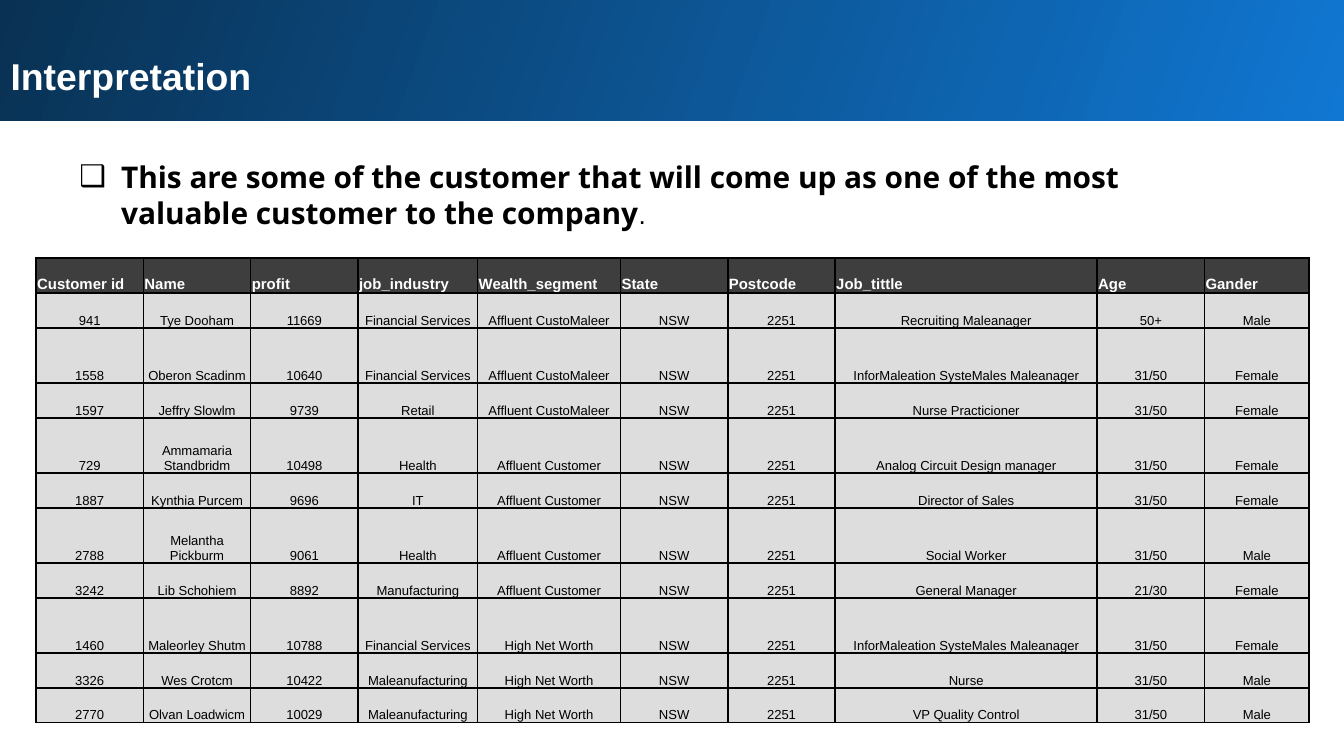
from dataclasses import dataclass
from typing import Any, NamedTuple

from lxml import etree
from pptx import Presentation
from pptx import util as u
from pptx.dml.color import RGBColor
from pptx.enum import shapes, text
from pptx.oxml.ns import qn


@dataclass(frozen=True)
class Theme:
    bright: str = "1077D2"
    deep: str = "093153"
    white: str = "FFFFFF"
    black: str = "000000"
    head: str = "3E3E3E"
    body: str = "DDDDDD"
    sans: str = "Arial"
    noto: str = "Noto Sans"
    title: float = 20
    lead: float = 16
    stop: float = 14
    label: float = 8
    value: float = 7
    rule: float = 1


class Box(NamedTuple):
    left: float
    top: float
    width: float
    height: float

    def place(self) -> list[int]:
        return [u.Cm(v) for v in self]


class Style(NamedTuple):
    size: float
    color: str
    face: str
    bold: bool = False


class Client(NamedTuple):
    ident: str
    name: str
    profit: str
    field: str
    wealth: str
    state: str
    code: str
    job: str
    age: str
    gender: str


THEME = Theme()
TITLE = Style(THEME.title, THEME.white, THEME.sans, True)
LEAD = Style(THEME.lead, THEME.black, THEME.noto, True)
STOP = Style(THEME.stop, THEME.black, THEME.sans)
LABEL = Style(THEME.label, THEME.white, THEME.sans, True)
VALUE = Style(THEME.value, THEME.black, THEME.sans)

COLS = (2.03, 2.03, 2.03, 2.26, 2.7, 2.03, 2.03, 4.95, 2.03, 1.98)
LOW, TALL = 0.66, 1.04
TALLS = range(2, 9, 2)
HEADS = Client("Customer id", "Name", "profit", "job_industry", "Wealth_segment",
               "State", "Postcode", "Job_tittle", "Age", "Gander")
ROWS = [Client(*row) for row in (
    ("941", "Tye Dooham", "11669", "Financial Services", "Affluent CustoMaleer",
     "NSW", "2251", "Recruiting Maleanager", "50+", "Male"),
    ("1558", "Oberon Scadinm", "10640", "Financial Services", "Affluent CustoMaleer",
     "NSW", "2251", "InforMaleation SysteMales Maleanager", "31/50", "Female"),
    ("1597", "Jeffry Slowlm", "9739", "Retail", "Affluent CustoMaleer",
     "NSW", "2251", "Nurse Practicioner", "31/50", "Female"),
    ("729", "Ammamaria Standbridm", "10498", "Health", "Affluent Customer",
     "NSW", "2251", "Analog Circuit Design manager", "31/50", "Female"),
    ("1887", "Kynthia Purcem", "9696", "IT", "Affluent Customer",
     "NSW", "2251", "Director of Sales", "31/50", "Female"),
    ("2788", "Melantha Pickburm", "9061", "Health", "Affluent Customer",
     "NSW", "2251", "Social Worker", "31/50", "Male"),
    ("3242", "Lib Schohiem", "8892", "Manufacturing", "Affluent Customer",
     "NSW", "2251", "General Manager", "21/30", "Female"),
    ("1460", "Maleorley Shutm", "10788", "Financial Services", "High Net Worth",
     "NSW", "2251", "InforMaleation SysteMales Maleanager", "31/50", "Female"),
    ("3326", "Wes Crotcm", "10422", "Maleanufacturing", "High Net Worth",
     "NSW", "2251", "Nurse", "31/50", "Male"),
    ("2770", "Olvan Loadwicm", "10029", "Maleanufacturing", "High Net Worth",
     "NSW", "2251", "VP Quality Control", "31/50", "Male"),
)]


def apply(item: Any, form: dict[str, Any]) -> None:
    for key, val in form.items():
        setattr(item, key, val)


def write(para: Any, words: str, style: Style) -> None:
    run = para.add_run()
    run.text = words
    apply(run.font, {"size": u.Pt(style.size), "name": style.face, "bold": style.bold})
    run.font.color.rgb = RGBColor.from_string(style.color)


def banner(slide: Any, box: Box) -> None:
    bar = slide.shapes.add_shape(shapes.MSO_SHAPE.RECTANGLE, *box.place())
    bar.shadow.inherit = False
    bar.line.fill.background()
    bar.fill.gradient()
    bar.fill.gradient_angle = 160
    for stop, tone in zip(bar.fill.gradient_stops, (THEME.bright, THEME.deep)):
        stop.color.rgb = RGBColor.from_string(tone)


def label(slide: Any, box: Box, inset: float, parts: list[tuple[str, Style]]) -> Any:
    frame = slide.shapes.add_textbox(*box.place()).text_frame
    sides = ("left", "top", "right", "bottom")
    apply(frame, {"word_wrap": True} | {f"margin_{s}": u.Cm(inset) for s in sides})
    para = frame.paragraphs[0]
    for words, style in parts:
        write(para, words, style)
    return para


def bullet(para: Any, mark: str, indent: float) -> None:
    props = para._p.get_or_add_pPr()
    props.set("marL", str(u.Cm(indent)))
    props.set("indent", str(-u.Cm(indent)))
    etree.SubElement(props, qn("a:buFont"), typeface=THEME.sans)
    etree.SubElement(props, qn("a:buChar"), char=mark)


def border(cell: Any) -> None:
    props = cell._tc.get_or_add_tcPr()
    for pos, side in enumerate("LRTB"):
        line = etree.Element(qn(f"a:ln{side}"), w=str(u.Pt(THEME.rule)))
        fill = etree.SubElement(line, qn("a:solidFill"))
        etree.SubElement(fill, qn("a:srgbClr"), val=THEME.black)
        props.insert(pos, line)


def fill_cell(cell: Any, words: str, style: Style, tone: str, align: Any) -> None:
    edge = u.Cm(0.02)
    apply(cell, {"margin_left": edge, "margin_right": edge, "margin_top": edge,
                 "margin_bottom": 0, "vertical_anchor": text.MSO_ANCHOR.BOTTOM})
    cell.fill.solid()
    cell.fill.fore_color.rgb = RGBColor.from_string(tone)
    border(cell)
    para = cell.text_frame.paragraphs[0]
    para.alignment = align
    write(para, words, style)


def grid(slide: Any, left: float, top: float) -> None:
    lines = [HEADS, *ROWS]
    highs = [TALL if i in TALLS else LOW for i in range(len(lines))]
    box = Box(left, top, sum(COLS), sum(highs))
    table = slide.shapes.add_table(len(lines), len(COLS), *box.place()).table
    apply(table, {"first_row": False, "horz_banding": False})
    for col, wide in zip(table.columns, COLS):
        col.width = u.Cm(wide)
    for i, (row, high, line) in enumerate(zip(table.rows, highs, lines)):
        row.height = u.Cm(high)
        look = ((VALUE, THEME.body, text.PP_ALIGN.CENTER) if i
                else (LABEL, THEME.head, text.PP_ALIGN.LEFT))
        for cell, words in zip(row.cells, line):
            fill_cell(cell, words, *look)


def main() -> None:
    deck = Presentation()
    apply(deck, {"slide_width": u.Cm(25.4), "slide_height": u.Cm(14.29)})
    slide = deck.slides.add_slide(deck.slide_layouts[6])
    banner(slide, Box(-0.06, -0.06, 25.53, 2.34))
    label(slide, Box(-0.05, 0.76, 23.8, 2.11), 0.25, [("Interpretation", TITLE)])
    grid(slide, 0.68, 4.88)
    lead = label(slide, Box(1.37, 2.87, 21.36, 1.63), 0.13, [
        ("This are some of the customer that will come up as one of the most "
         "valuable customer to the company", LEAD),
        (".", STOP),
    ])
    bullet(lead, "❑", 0.79)
    deck.save("out.pptx")


if __name__ == "__main__":
    main()
